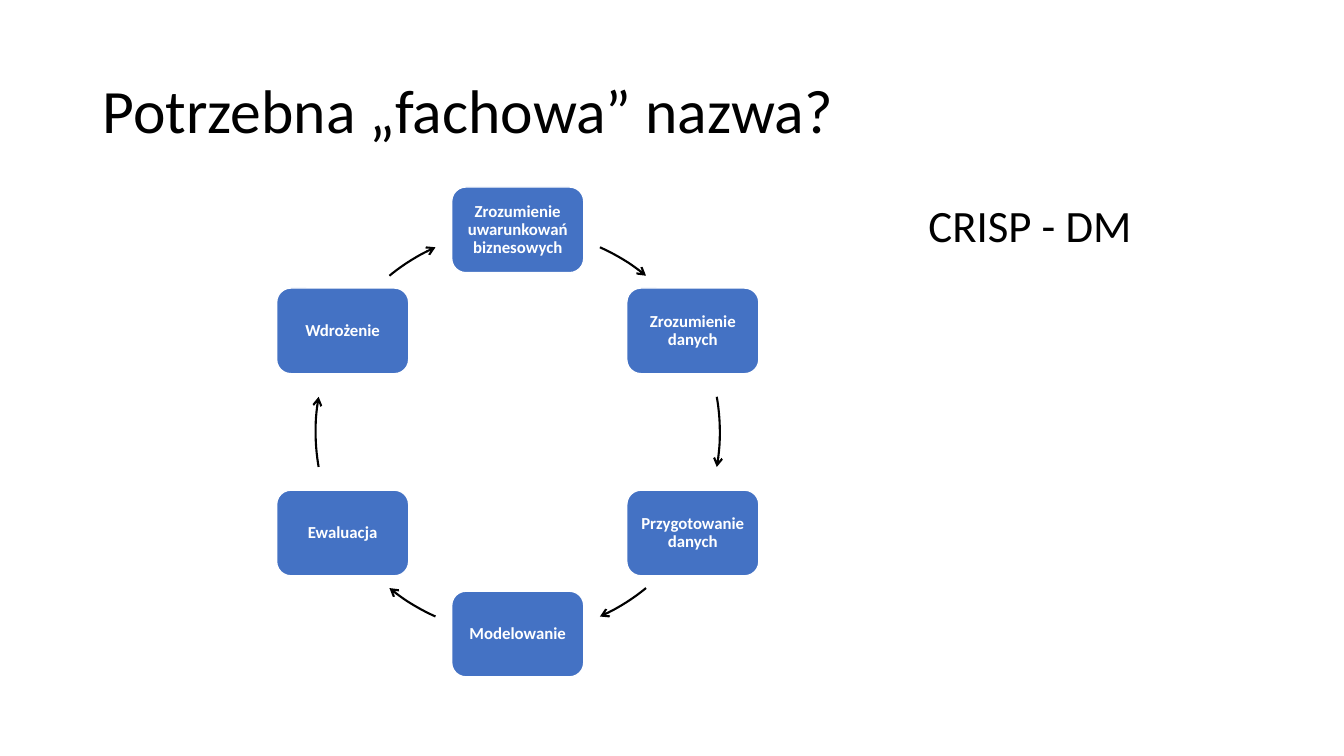
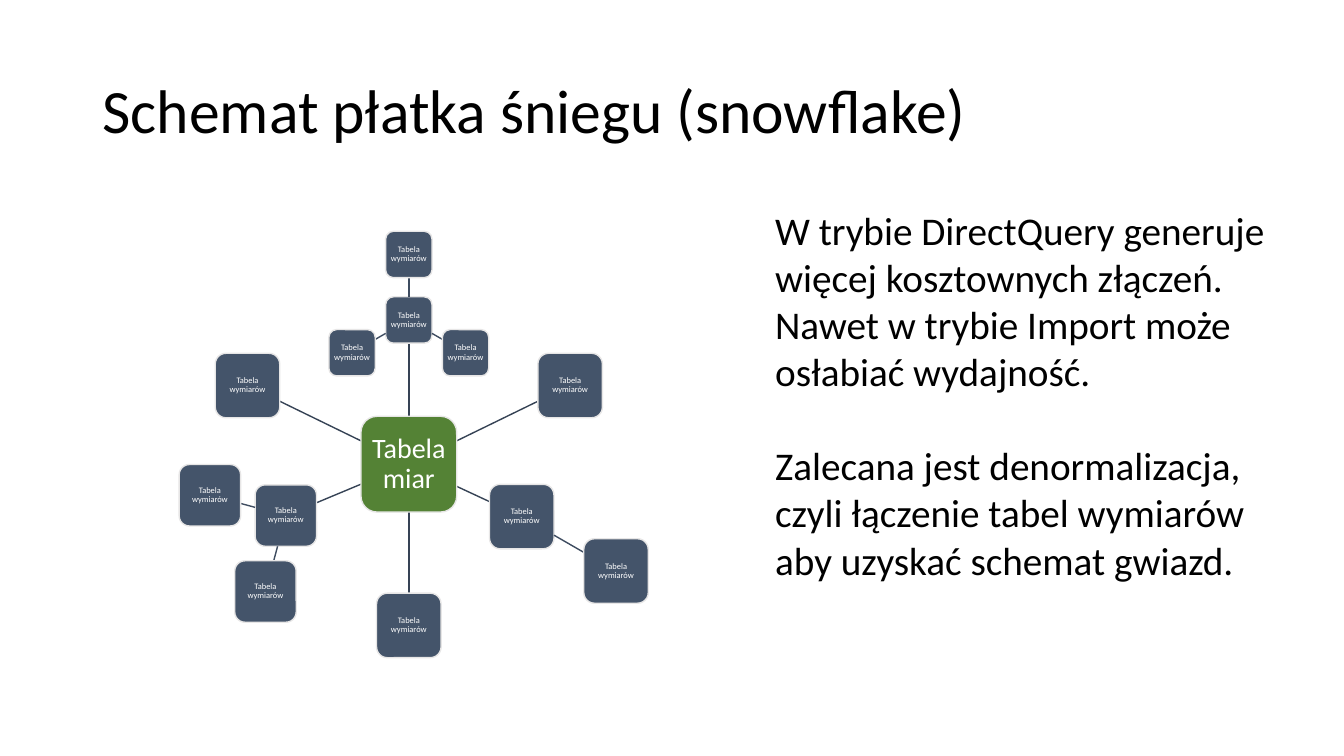
from dataclasses import dataclass
from math import cos, radians, sin

from pptx import Presentation
from pptx.dml.color import RGBColor
from pptx.enum.shapes import MSO_CONNECTOR as Connector
from pptx.enum.shapes import MSO_SHAPE as Shape
from pptx.enum.text import MSO_ANCHOR as Anchor
from pptx.enum.text import PP_ALIGN as Align
from pptx.oxml.ns import qn
from pptx.util import Pt

PX = 9144
ARC_UNITS_PER_DEGREE = 0.6


@dataclass(frozen=True)
class Theme:
    font: str = "Calibri"
    ink: str = "000000"
    white: str = "FFFFFF"
    step: str = "4472C4"
    hub: str = "548235"
    dimension: str = "44546A"
    outline: str = "E7E6E6"
    spoke: str = "364355"
    branch: str = "3E4C60"
    title_size: int = 44
    method_size: int = 32
    body_size: int = 28
    hub_size: int = 20
    step_size: int = 12
    dimension_size: int = 6
    tight_spacing: float = 0.9
    thin: float = 1
    arrow: float = 1.5


THEME = Theme()

SLIDE_SIZE = (1333, 750)
TITLE_AREA = (92, 40, 1150, 145)

CYCLE_TITLE = "Potrzebna „fachowa” nazwa?"
CYCLE_STEPS = [
    "Zrozumienie uwarunkowań biznesowych",
    "Zrozumienie danych",
    "Przygotowanie danych",
    "Modelowanie",
    "Ewaluacja",
    "Wdrożenie",
]
CYCLE_AREA = (313, 228, 401, 401)
STEP_SIZE = (131, 85)
HALF_CYCLE_ARCS = [(24, 39.4), (80, 100), (140.6, 156)]
METHOD = "CRISP - DM"
METHOD_AREA = (911, 191, 224, 64)

SNOWFLAKE_TITLE = "Schemat płatka śniegu (snowflake)"
HUB = {"text": "Tabela miar", "corner": (358, 413), "size": 95}
DIMENSION = "Tabela wymiarów"
DIMENSIONS = [
    {"offset": (0, -143), "size": 46, "reach": 65, "angles": [0, 120, 240]},
    {"offset": (160, -78), "size": 64},
    {"offset": (112, 52), "size": 64, "reach": 108, "angles": [120]},
    {"offset": (0, 160), "size": 64},
    {"offset": (-122, 51), "size": 61, "reach": 78, "angles": [195, 285]},
    {"offset": (-160, -78), "size": 64},
]
ADVICE_AREA = (759, 200, 506, 434)
ADVICE = [
    ("W trybie DirectQuery generuje więcej kosztownych złączeń.", 0),
    ("Nawet w trybie Import może osłabiać wydajność.", 0),
    ("Zalecana jest denormalizacja, czyli łączenie tabel wymiarów "
     "aby uzyskać schemat gwiazd.", 33.5),
]


def px(*lengths):
    return [round(length * PX) for length in lengths]


def color(value):
    return RGBColor.from_string(value)


def area_center(left, top, width, height):
    return left + width / 2, top + height / 2


def on_circle(center, radius, angle):
    turn = radians(angle)
    return center[0] + radius * sin(turn), center[1] - radius * cos(turn)


def style_line(line, value, width):
    line.color.rgb = color(value)
    line.width = Pt(width)


def style_font(para, size, value, bold=False):
    para.font.name = THEME.font
    para.font.size = Pt(size)
    para.font.bold = bold
    para.font.color.rgb = color(value)


def add_text(page, area, paragraphs, size, anchor=Anchor.TOP, wrap=True, spacing=None):
    frame = page.shapes.add_textbox(*px(*area)).text_frame
    frame.word_wrap = wrap
    frame.vertical_anchor = anchor
    for index, (text, gap) in enumerate(paragraphs):
        para = frame.add_paragraph() if index else frame.paragraphs[0]
        para.text = text
        para.space_before = Pt(gap)
        if spacing:
            para.line_spacing = spacing
        style_font(para, size, THEME.ink)


def add_page(deck, title):
    page = deck.slides.add_slide(deck.slide_layouts[6])
    add_text(page, TITLE_AREA, [(title, 0)], THEME.title_size, Anchor.MIDDLE,
             spacing=THEME.tight_spacing)
    return page


def add_box(page, center, size, text, fill, outline, type_size, inset, bold=False):
    width, height = size
    left, top = center[0] - width / 2, center[1] - height / 2
    box = page.shapes.add_shape(Shape.ROUNDED_RECTANGLE, *px(left, top, width, height))
    box.shadow.inherit = False
    box.fill.solid()
    box.fill.fore_color.rgb = color(fill)
    style_line(box.line, outline, THEME.thin)
    frame = box.text_frame
    frame.word_wrap = True
    frame.vertical_anchor = Anchor.MIDDLE
    frame.margin_left = frame.margin_right = inset * PX
    frame.margin_top = frame.margin_bottom = inset * PX
    para = frame.paragraphs[0]
    para.text = text
    para.alignment = Align.CENTER
    para.line_spacing = THEME.tight_spacing
    style_font(para, type_size, THEME.white, bold)


def add_arc_arrow(page, start, end):
    arc = page.shapes.add_shape(Shape.ARC, *px(*CYCLE_AREA))
    for index, angle in enumerate((start, end)):
        arc.adjustments[index] = (angle - 90) % 360 * ARC_UNITS_PER_DEGREE * 1.0
    arc.shadow.inherit = False
    arc.fill.background()
    style_line(arc.line, THEME.ink, THEME.arrow)
    outline = arc.element.spPr.find(qn("a:ln"))
    outline.append(outline.makeelement(qn("a:tailEnd"), {"type": "arrow"}))


def box_edge(center, size, target):
    across, down = target[0] - center[0], target[1] - center[1]
    share = size / 2 / max(abs(across), abs(down))
    return center[0] + across * share, center[1] + down * share


def add_link(page, center, size, other_center, other_size, value):
    start = box_edge(center, size, other_center)
    end = box_edge(other_center, other_size, center)
    link = page.shapes.add_connector(Connector.STRAIGHT, *px(*start, *end))
    style_line(link.line, value, THEME.thin)
    properties = link.element.spPr
    properties.append(properties.makeelement(qn("a:effectLst"), {}))


def add_dimension(page, center, size):
    add_box(page, center, (size, size), DIMENSION, THEME.dimension, THEME.outline,
            THEME.dimension_size, 2)


def build_cycle(deck):
    page = add_page(deck, CYCLE_TITLE)
    middle, radius = area_center(*CYCLE_AREA), CYCLE_AREA[2] / 2
    for index, text in enumerate(CYCLE_STEPS):
        center = on_circle(middle, radius, index * 360 / len(CYCLE_STEPS))
        add_box(page, center, STEP_SIZE, text, THEME.step, THEME.white,
                THEME.step_size, 5, bold=True)
    for half_turn in (0, 180):
        for start, end in HALF_CYCLE_ARCS:
            add_arc_arrow(page, start + half_turn, end + half_turn)
    add_text(page, METHOD_AREA, [(METHOD, 0)], THEME.method_size, wrap=False)


def build_snowflake(deck):
    page = add_page(deck, SNOWFLAKE_TITLE)
    hub_size = HUB["size"]
    hub_center = area_center(*HUB["corner"], hub_size, hub_size)
    nodes = [
        (node, (hub_center[0] + node["offset"][0], hub_center[1] + node["offset"][1]))
        for node in DIMENSIONS
    ]
    for node, center in nodes:
        add_link(page, hub_center, hub_size, center, node["size"], THEME.spoke)
    add_box(page, hub_center, (hub_size, hub_size), HUB["text"], THEME.hub,
            THEME.outline, THEME.hub_size, 6)
    for node, center in nodes:
        size = node["size"]
        add_dimension(page, center, size)
        for angle in node.get("angles", []):
            leaf = on_circle(center, node["reach"], angle)
            add_link(page, center, size, leaf, size, THEME.branch)
            add_dimension(page, leaf, size)
    add_text(page, ADVICE_AREA, ADVICE, THEME.body_size)


def main():
    deck = Presentation()
    deck.slide_width, deck.slide_height = px(*SLIDE_SIZE)
    build_cycle(deck)
    build_snowflake(deck)
    deck.save("out.pptx")


if __name__ == "__main__":
    main()
